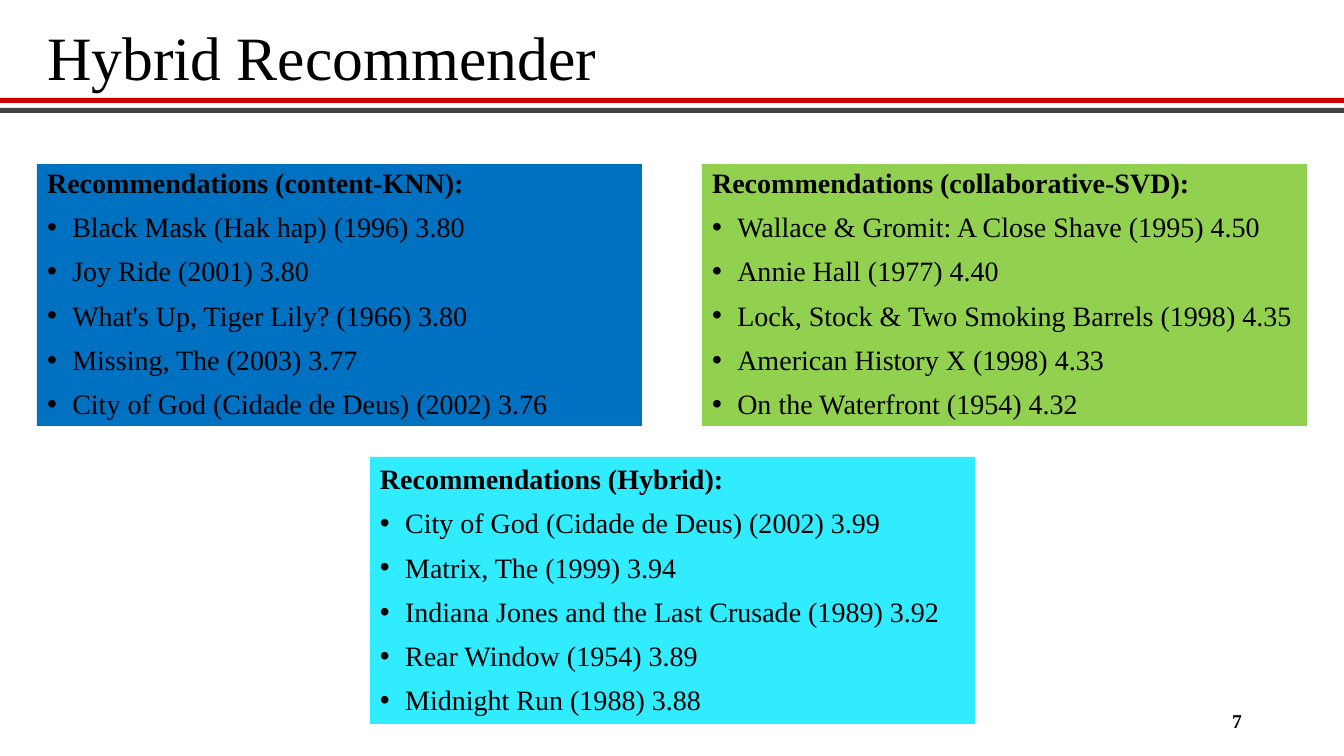
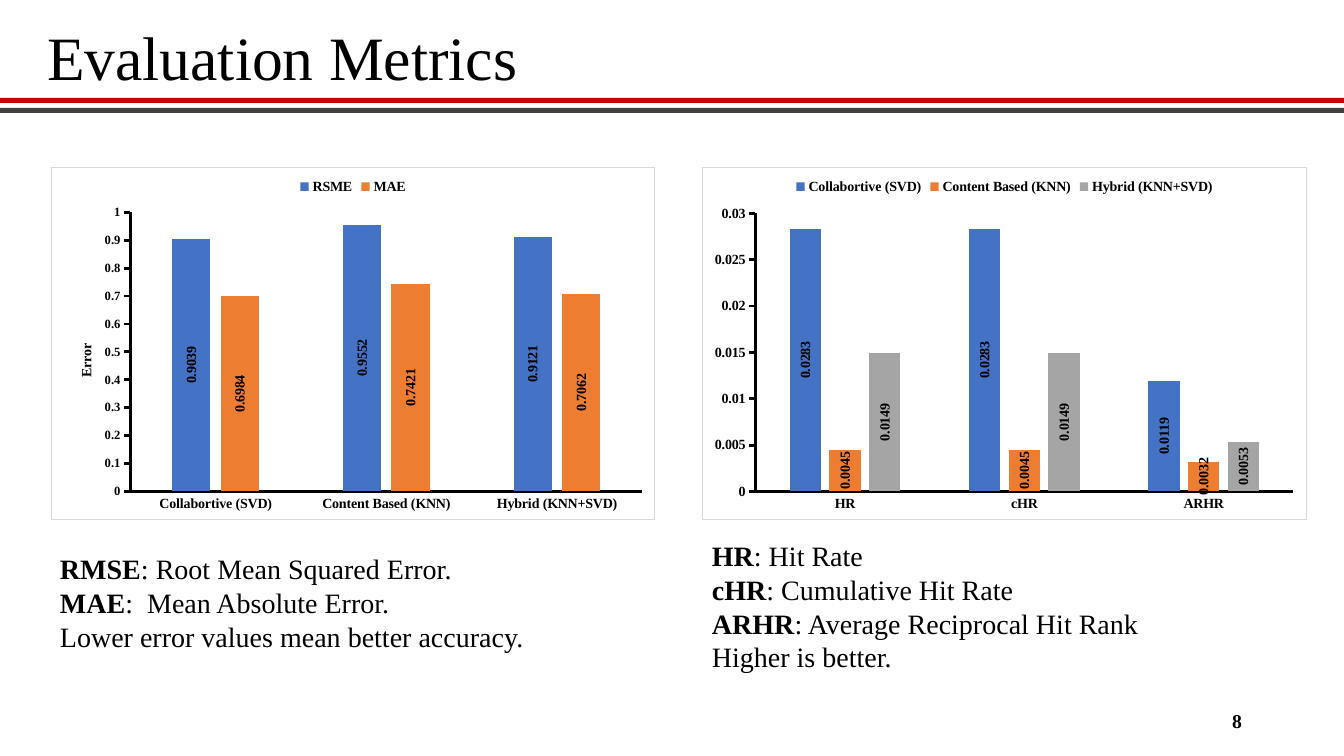
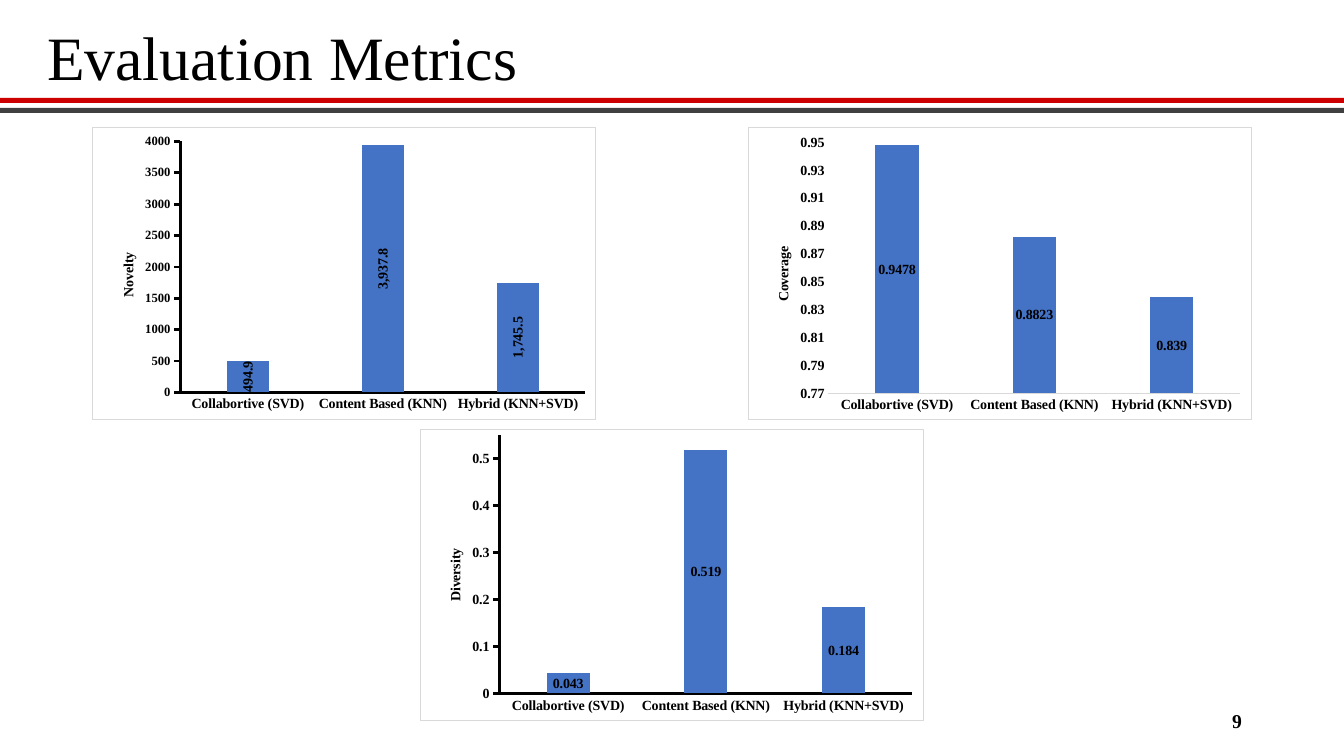
import pptx
import pptx.chart.data
import pptx.dml.color
import pptx.enum.chart
import pptx.enum.shapes
import pptx.enum.text
import pptx.oxml
import pptx.oxml.ns
import pptx.util

SCALE = 12192000 / 1344  # EMU in one px
qn = pptx.oxml.ns.qn
RGB = pptx.dml.color.RGBColor.from_string
MSO_ANCHOR = pptx.enum.text.MSO_ANCHOR
PP_ALIGN = pptx.enum.text.PP_ALIGN
TICK = pptx.enum.chart.XL_TICK_MARK


class Theme:
    font = "Times New Roman"
    chart_font = "Calibri"
    text = "000000"
    background = "FFFFFF"
    red = "CC0000"
    gray = "404040"
    frame = "D9D9D9"
    content_card = "0070C0"
    collaborative_card = "92D050"
    hybrid_card = "31EBFF"
    series = ("4472C4", "ED7D31", "A5A5A5")
    title_size = 44
    body_size = 20
    number_size = 14
    chart_size = 10
    small_size = 9


def px(*lengths):
    """Turn px into a list of EMU lengths."""
    return [pptx.util.Emu(round(length * SCALE)) for length in lengths]


def style(font, size, bold=False, name=Theme.font):
    font.name = name
    font.size = pptx.util.Pt(size)
    font.bold = bold
    font.color.rgb = RGB(Theme.text)


presentation = pptx.Presentation()
presentation.slide_width, presentation.slide_height = px(1344, 756)

# Slides with title and page number
TWO_CONTENT, TITLE_ONLY = 3, 5
pages = [
    ("Hybrid Recommender", 7, TWO_CONTENT),
    ("Evaluation Metrics", 8, TITLE_ONLY),
    ("Evaluation Metrics", 9, TITLE_ONLY),
]
for heading, number, layout in pages:
    slide = presentation.slides.add_slide(presentation.slide_layouts[layout])
    title = slide.shapes.title
    title.left, title.top, title.width, title.height = px(37, 15, 1270, 91)
    number_box = slide.shapes.add_textbox(*px(950, 701, 302, 40))
    for shape, text, size, bold, align in [
        (title, heading, Theme.title_size, False, PP_ALIGN.LEFT),
        (number_box, str(number), Theme.number_size, True, PP_ALIGN.RIGHT),
    ]:
        frame = shape.text_frame
        frame.text = text
        frame.word_wrap = True
        frame.auto_size = pptx.enum.text.MSO_AUTO_SIZE.NONE
        frame.vertical_anchor = MSO_ANCHOR.MIDDLE
        frame.paragraphs[0].alignment = align
        style(frame.paragraphs[0].runs[0].font, size, bold)
    title.text_frame.paragraphs[0].line_spacing = 0.9

recommender_slide, accuracy_slide, quality_slide = presentation.slides

# Header bands, moved to the master so that every slide shows them
for top, color in [(98, Theme.red), (108, Theme.gray)]:
    band = recommender_slide.shapes.add_shape(
        pptx.enum.shapes.MSO_SHAPE.RECTANGLE, *px(0, top, 1344, 5))
    band.shadow.inherit = False
    band.fill.solid()
    band.fill.fore_color.rgb = RGB(color)
    band.line.fill.background()
    presentation.slide_master.shapes.element.append(band.element)

# Recommendation cards
hybrid_box = recommender_slide.shapes.add_textbox(*px(370, 457, 605, 267))
cards = [
    (recommender_slide.placeholders[1], (37, 164, 605, 262), Theme.content_card, [
        "Recommendations (content-KNN):",
        "Black Mask (Hak hap) (1996) 3.80",
        "Joy Ride (2001) 3.80",
        "What's Up, Tiger Lily? (1966) 3.80",
        "Missing, The (2003) 3.77",
        "City of God (Cidade de Deus) (2002) 3.76",
    ]),
    (recommender_slide.placeholders[2], (702, 164, 605, 262), Theme.collaborative_card, [
        "Recommendations (collaborative-SVD):",
        "Wallace & Gromit: A Close Shave (1995) 4.50",
        "Annie Hall (1977) 4.40",
        "Lock, Stock & Two Smoking Barrels (1998) 4.35",
        "American History X (1998) 4.33",
        "On the Waterfront (1954) 4.32",
    ]),
    (hybrid_box, (370, 457, 605, 267), Theme.hybrid_card, [
        "Recommendations (Hybrid):",
        "City of God (Cidade de Deus) (2002) 3.99",
        "Matrix, The (1999) 3.94",
        "Indiana Jones and the Last Crusade (1989) 3.92",
        "Rear Window (1954) 3.89",
        "Midnight Run (1988) 3.88",
    ]),
]
for card, place, color, lines in cards:
    card.left, card.top, card.width, card.height = px(*place)
    card.fill.solid()
    card.fill.fore_color.rgb = RGB(color)
    frame = card.text_frame
    frame.text = "\n".join(lines)
    frame.word_wrap = True
    frame.auto_size = pptx.enum.text.MSO_AUTO_SIZE.NONE
    frame.vertical_anchor = MSO_ANCHOR.TOP
    for index, paragraph in enumerate(frame.paragraphs):
        is_heading = index == 0
        plain_heading = is_heading and card is hybrid_box
        paragraph.line_spacing = 1.0 if plain_heading else 0.9
        paragraph.space_before = pptx.util.Pt(0 if plain_heading else 10)
        style(paragraph.runs[0].font, Theme.body_size, is_heading)
        properties = paragraph.runs[0].font._element.getparent().getparent().get_or_add_pPr()
        indent = 0 if is_heading else pptx.util.Inches(0.25)
        properties.set("marL", str(indent))
        properties.set("indent", str(-indent))
        if is_heading:
            properties.append(pptx.oxml.parse_xml(
                f'<a:buNone {pptx.oxml.ns.nsdecls("a")}/>'))
        else:
            for bullet in ('buFont {} typeface="Arial"', 'buChar {} char="•"'):
                properties.append(pptx.oxml.parse_xml(
                    "<a:" + bullet.format(pptx.oxml.ns.nsdecls("a")) + "/>"))

# Explanations below the accuracy charts
notes = [
    ((50, 547, 605, 112), [
        ("RMSE", ": Root Mean Squared Error."),
        ("MAE", ":  Mean Absolute Error."),
        ("", "Lower error values mean better accuracy."),
    ]),
    ((702, 534, 605, 146), [
        ("HR", ": Hit Rate"),
        ("cHR", ": Cumulative Hit Rate"),
        ("ARHR", ": Average Reciprocal Hit Rank"),
        ("", "Higher is better."),
    ]),
]
for place, lines in notes:
    frame = accuracy_slide.shapes.add_textbox(*px(*place)).text_frame
    frame.word_wrap = True
    for index, (term, meaning) in enumerate(lines):
        paragraph = frame.add_paragraph() if index else frame.paragraphs[0]
        for text, bold in [(term, True), (meaning, False)]:
            if text:
                run = paragraph.add_run()
                run.text = text
                style(run.font, Theme.body_size, bold)

# Charts: "plot" is the inner plot area as left, top, width, height on the slide,
# "scale" is minimum, maximum and step, "title" is text, left and top
methods = ["Collabortive (SVD)", "Content Based (KNN)", "Hybrid (KNN+SVD)"]
defaults = dict(categories=methods, title=None, tick_size=Theme.chart_size, gap=219,
                overlap=-27, label_format="General", upright=False, axis_lines=True)
charts = [
    dict(slide=accuracy_slide, place=(51, 167, 604, 353), plot=(130, 212, 513, 280),
         series={"RSME": (0.9039, 0.9552, 0.9121), "MAE": (0.6984, 0.7421, 0.7062)},
         scale=(0, 1, 0.1), title=("Error", 74, 341), tick_size=Theme.small_size,
         upright=True),
    dict(slide=accuracy_slide, place=(702, 167, 605, 353), plot=(755, 213, 539, 279),
         categories=["HR", "cHR", "ARHR"],
         series=dict(zip(methods, [(0.0283, 0.0283, 0.0119), (0.0045, 0.0045, 0.0032),
                                   (0.0149, 0.0149, 0.0053)])),
         scale=(0, 0.03, 0.005), upright=True),
    dict(slide=quality_slide, place=(92, 127, 504, 293), plot=(180, 141, 406, 252),
         series={"Series 1": (494.9, 3937.8, 1745.5)}, scale=(0, 4000, 500),
         title=("Novelty", 116, 250), tick_size=Theme.small_size, gap=218,
         overlap=-32, label_format="#,##0.0", upright=True),
    dict(slide=quality_slide, place=(748, 127, 504, 293), plot=(828, 142, 413, 252),
         series={"Series 1": (0.9478, 0.8823, 0.839)}, scale=(0.77, 0.95, 0.02),
         title=("Coverage", 771, 244), axis_lines=False),
    dict(slide=quality_slide, place=(420, 429, 504, 292), plot=(499, 435, 414, 259),
         series={"Series 1": (0.043, 0.519, 0.184)}, scale=(0, 0.55, 0.1),
         title=("Diversity", 443, 546), label_format="#,##0.000"),
]
for entry in charts:
    spec = defaults | entry
    data = pptx.chart.data.CategoryChartData()
    data.categories = spec["categories"]
    for name, values in spec["series"].items():
        data.add_series(name, values)
    chart = spec["slide"].shapes.add_chart(
        pptx.enum.chart.XL_CHART_TYPE.COLUMN_CLUSTERED, *px(*spec["place"]), data).chart
    style(chart.font, Theme.chart_size, name=Theme.chart_font)
    chart.has_title = False
    chart.has_legend = len(spec["series"]) > 1
    if chart.has_legend:
        chart.legend.position = pptx.enum.chart.XL_LEGEND_POSITION.TOP
        chart.legend.include_in_layout = False
        style(chart.legend.font, Theme.chart_size, True)

    plot = chart.plots[0]
    plot.vary_by_categories = False
    plot.gap_width, plot.overlap = spec["gap"], spec["overlap"]
    for series, color in zip(plot.series, Theme.series):
        series.format.fill.solid()
        series.format.fill.fore_color.rgb = RGB(color)
        labels = series.data_labels
        labels.show_value = True
        labels.position = pptx.enum.chart.XL_LABEL_POSITION.CENTER
        labels.number_format = spec["label_format"]
        labels.number_format_is_linked = False
        style(labels.font, Theme.chart_size, True)

    category_axis, value_axis = chart.category_axis, chart.value_axis
    value_axis.has_major_gridlines = False
    value_axis.minimum_scale, value_axis.maximum_scale, value_axis.major_unit = spec["scale"]
    category_axis.major_tick_mark = TICK.NONE
    value_axis.major_tick_mark = TICK.OUTSIDE if spec["axis_lines"] else TICK.NONE
    style(category_axis.tick_labels.font, Theme.chart_size, True)
    style(value_axis.tick_labels.font, spec["tick_size"], True)
    for axis in (category_axis, value_axis):
        line = axis.format.line
        line.color.rgb = RGB(Theme.text if spec["axis_lines"] else Theme.frame)
        line.width = pptx.util.Pt(2 if spec["axis_lines"] else 0.75)
    if not spec["axis_lines"]:
        value_axis.format.line.fill.background()

    # Positions inside the chart, as fractions of its size
    left, top, width, height = spec["place"]
    plot_left, plot_top, plot_width, plot_height = spec["plot"]
    layouts = [(chart.element.find(".//" + qn("c:plotArea")), 0,
                dict(x=(plot_left - left) / width, y=(plot_top - top) / height,
                     w=plot_width / width, h=plot_height / height))]
    upright_parts = list(chart.element.iter(qn("c:dLbls"))) if spec["upright"] else []
    if spec["title"]:
        text, title_left, title_top = spec["title"]
        frame = value_axis.axis_title.text_frame
        frame.text = text
        style(frame.paragraphs[0].runs[0].font, Theme.chart_size, True)
        title_element = chart.element.find(".//" + qn("c:title"))
        upright_parts.append(title_element)
        layouts.append((title_element, 1, dict(x=(title_left - left) / width,
                                               y=(title_top - top) / height)))
    for part in upright_parts:
        body = part.find(".//" + qn("a:bodyPr"))
        body.set("rot", "-5400000")
        body.set("vert", "horz")
    for parent, position, fractions in layouts:
        for old_layout in parent.findall(qn("c:layout")):
            parent.remove(old_layout)
        target = '<c:layoutTarget val="inner"/>' if "w" in fractions else ""
        modes = "".join(f'<c:{key}Mode val="edge"/>' for key in "xy")
        sizes = "".join(f'<c:{key} val="{value:.4f}"/>' for key, value in fractions.items())
        parent.insert(position, pptx.oxml.parse_xml(
            f'<c:layout {pptx.oxml.ns.nsdecls("c")}><c:manualLayout>'
            f"{target}{modes}{sizes}</c:manualLayout></c:layout>"))

    chart.element.find(qn("c:chart")).addnext(pptx.oxml.parse_xml(
        f'<c:spPr {pptx.oxml.ns.nsdecls("c", "a")}>'
        f'<a:solidFill><a:srgbClr val="{Theme.background}"/></a:solidFill>'
        f'<a:ln w="9525"><a:solidFill><a:srgbClr val="{Theme.frame}"/></a:solidFill></a:ln>'
        "</c:spPr>"))

presentation.save("out.pptx")
